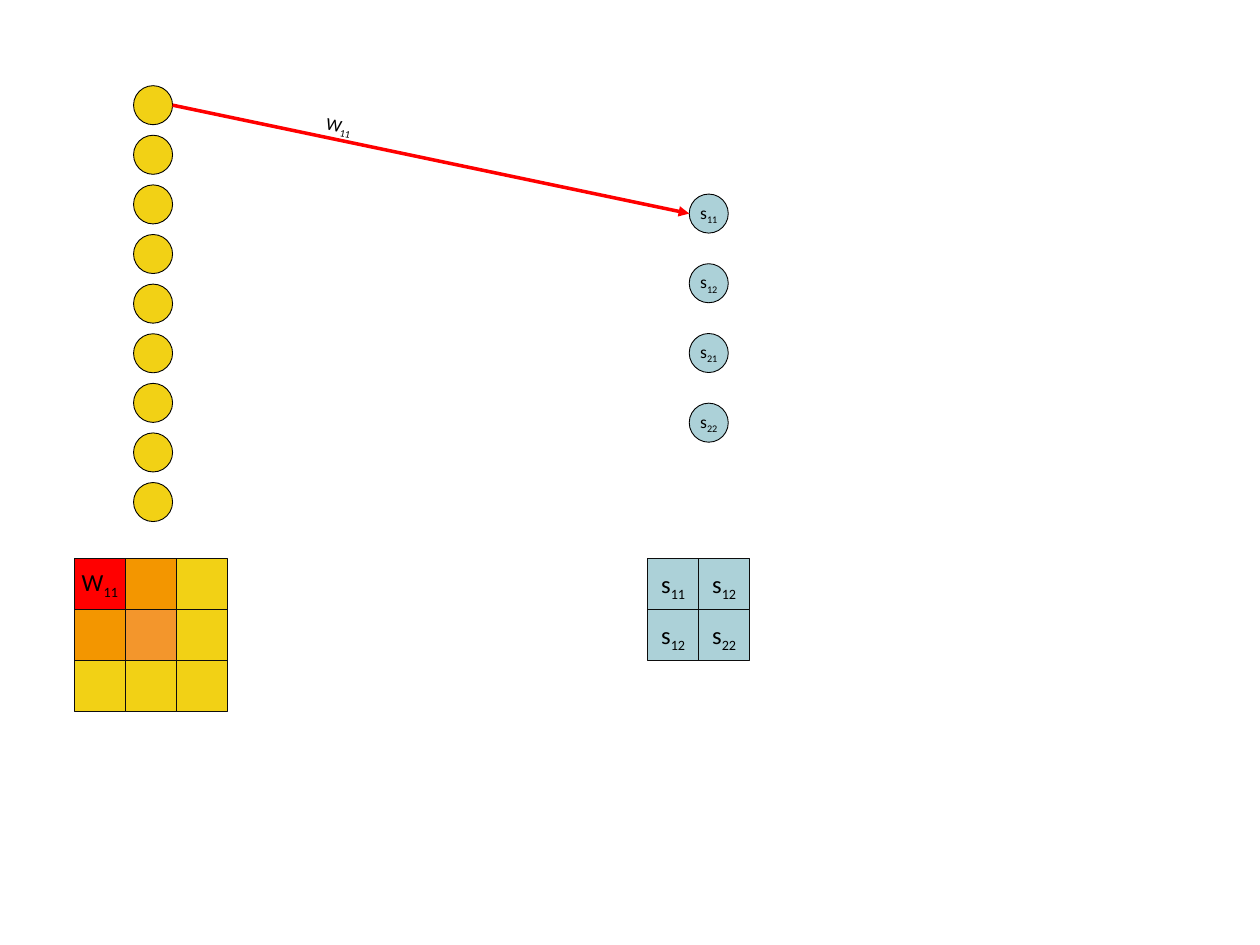
from dataclasses import dataclass

from lxml import etree
from pptx import Presentation
from pptx import util as u
from pptx.dml.color import RGBColor
from pptx.enum import shapes, text
from pptx.oxml.ns import qn


@dataclass(frozen=True)
class Theme:
    font: str = "Calibri"
    black: str = "000000"
    edge: str = "0D0D0D"
    gold: str = "F2D115"
    amber: str = "F39600"
    peach: str = "F3962C"
    red: str = "FF0000"
    blue: str = "ACD1D8"
    small: int = 10
    large: int = 14
    thin: float = 0.5
    thick: float = 2


class Board:
    def __init__(self, slide, theme):
        self.slide = slide
        self.theme = theme

    def label(self, frame, name, sub, size):
        """Write a centred symbol followed by its subscript."""
        para = frame.paragraphs[0]
        para.alignment = text.PP_ALIGN.CENTER
        for part, base in ((name, None), (sub, "-25000")):
            run = para.add_run()
            run.text = part
            run.font.name = self.theme.font
            run.font.size = u.Pt(size)
            run.font.color.rgb = RGBColor.from_string(self.theme.black)
            if base:
                run._r.get_or_add_rPr().set("baseline", base)

    def shape(self, home, kind, left, top, side, fill, edge):
        item = home.add_shape(kind, u.Inches(left), u.Inches(top),
                              u.Inches(side), u.Inches(side))
        item.shadow.inherit = False
        item.fill.solid()
        item.fill.fore_color.rgb = RGBColor.from_string(fill)
        item.line.color.rgb = RGBColor.from_string(edge)
        item.line.width = u.Pt(self.theme.thin)
        frame = item.text_frame
        frame.margin_left = frame.margin_right = 0
        frame.margin_top = frame.margin_bottom = 0
        frame.vertical_anchor = text.MSO_ANCHOR.MIDDLE
        return item

    def node(self, left, top, side, fill, sub=None):
        item = self.shape(self.slide.shapes, shapes.MSO_SHAPE.OVAL,
                          left, top, side, fill, self.theme.black)
        if sub:
            self.label(item.text_frame, "s", sub, self.theme.small)

    def cell(self, home, left, top, side, fill, name=None, sub=None, drop=0):
        item = self.shape(home, shapes.MSO_SHAPE.RECTANGLE,
                          left, top, side, fill, self.theme.edge)
        if name:
            item.text_frame.margin_top = u.Inches(drop)
            self.label(item.text_frame, name, sub, self.theme.large)

    def arrow(self, x1, y1, x2, y2):
        line = self.slide.shapes.add_connector(
            shapes.MSO_CONNECTOR.STRAIGHT, u.Inches(x1), u.Inches(y1),
            u.Inches(x2), u.Inches(y2))
        line.line.color.rgb = RGBColor.from_string(self.theme.red)
        line.line.width = u.Pt(self.theme.thick)
        etree.SubElement(line.line._get_or_add_ln(), qn("a:tailEnd"),
                         type="triangle")
        etree.SubElement(line._element.spPr, qn("a:effectLst"))

    def note(self, left, top, width, height, turn, name, sub):
        box = self.slide.shapes.add_textbox(
            u.Inches(left), u.Inches(top), u.Inches(width), u.Inches(height))
        box.rotation = turn
        box.text_frame.word_wrap = True
        self.label(box.text_frame, name, sub, self.theme.small)


def main():
    deck = Presentation()
    deck.slide_width, deck.slide_height = u.Inches(10), u.Inches(7.5)
    theme = Theme()
    board = Board(deck.slides.add_slide(deck.slide_layouts[6]), theme)

    # Input neurons
    dot = 0.31
    in_x, in_y, in_step = 1.06, 0.68, 3.15 / 8
    for i in range(9):
        board.node(in_x, in_y + i * in_step, dot, theme.gold)

    # Kernel over the input grid
    side, grid_y = 0.81 / 2, 4.43
    fills = ((theme.red, theme.amber, theme.gold),
             (theme.amber, theme.peach, theme.gold),
             (theme.gold, theme.gold, theme.gold))
    for r, row in enumerate(fills):
        for c, fill in enumerate(row):
            mark = ("W", "11") if r == c == 0 else ()
            board.cell(board.slide.shapes, 0.59 + c * side,
                       grid_y + r * side, side, fill, *mark)

    # Output neurons
    out_x, out_y, out_step = 5.47, 1.54, 1.66 / 3
    for i, sub in enumerate(("11", "12", "21", "22")):
        board.node(out_x, out_y + i * out_step, dot, theme.blue, sub)

    # Output grid
    group = board.slide.shapes.add_group_shape()
    for r, row in enumerate((("11", "12"), ("12", "22"))):
        for c, sub in enumerate(row):
            board.cell(group.shapes, 5.14 + c * side, grid_y + r * side,
                       side, theme.blue, "s", sub, drop=0.03)

    # Weighted link
    board.arrow(in_x + dot, in_y + dot / 2, out_x, out_y + dot / 2)
    board.note(2.18, 0.86, 1.02, 0.29, 12.2, "W", "11")

    deck.save("out.pptx")


if __name__ == "__main__":
    main()
